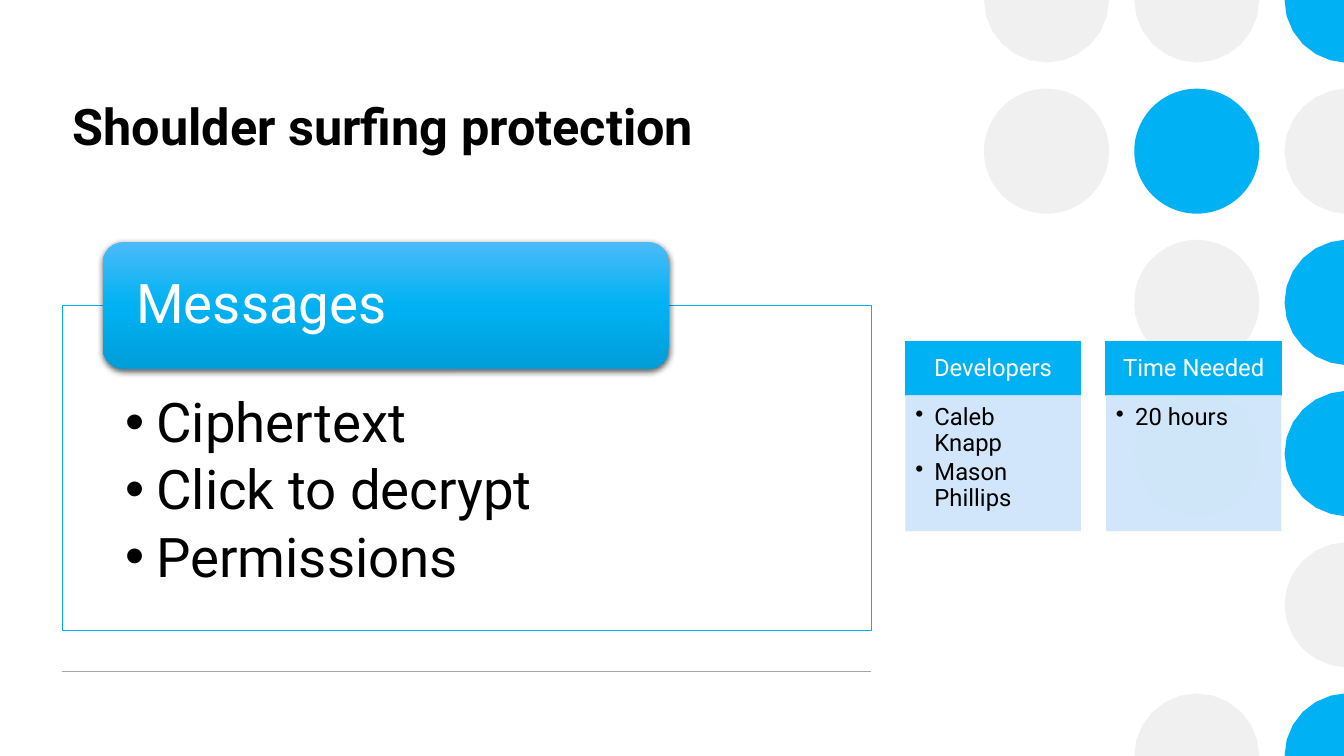
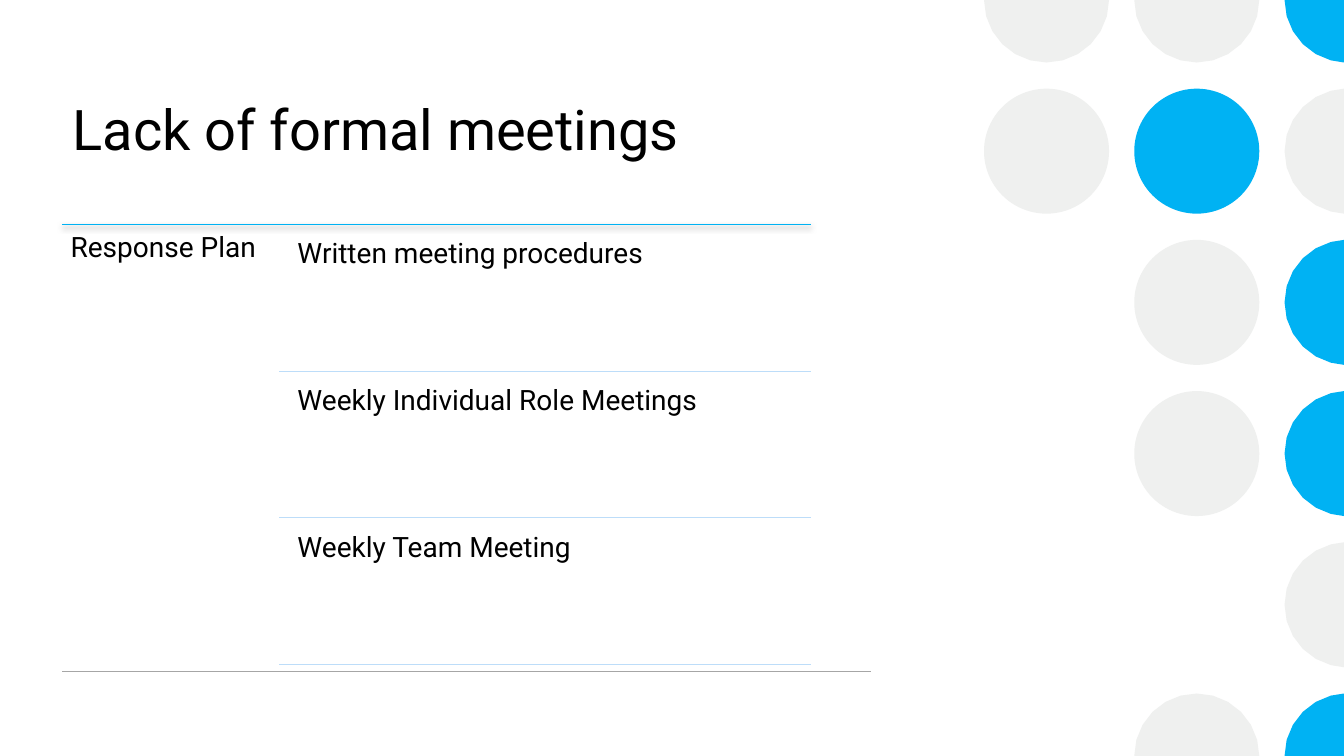
from copy import deepcopy
from dataclasses import dataclass
from math import cos, radians, sin

from lxml import etree
from pptx import Presentation
from pptx.dml.color import RGBColor
from pptx.enum import shapes as kinds, text as modes
from pptx.oxml import ns
from pptx.util import Inches, Pt


@dataclass(frozen=True)
class Theme:
    font: str = "Roboto"
    blue: str = "00B2F3"
    light: str = "4BBBF8"
    dark: str = "009ED8"
    pale: str = "CCE4FA"
    rule: str = "BDDDF9"
    gray: str = "EFF0EF"
    line: str = "A6A6A6"
    white: str = "FFFFFF"
    black: str = "000000"
    title: int = 40
    strong: int = 36
    large: int = 39
    plain: int = 20
    small: int = 17
    width: float = 13.33
    height: float = 7.5


T = Theme()
DOTS = ("ggb", "gbg", ".gb", ".gb", "..g", ".gb")
TOP, MID = modes.MSO_ANCHOR.TOP, modes.MSO_ANCHOR.MIDDLE
LEFT, MIDST = modes.PP_ALIGN.LEFT, modes.PP_ALIGN.CENTER


def rgb(tone):
    return RGBColor.from_string(tone)


def place(item, box):
    item.left, item.top, item.width, item.height = map(Inches, box)


def paint(item, tone, edge=None, width=1, alpha=100):
    item.fill.solid()
    item.fill.fore_color.rgb = rgb(tone)
    if alpha < 100:
        clr = next(item.element.iter(ns.qn("a:srgbClr")))
        etree.SubElement(clr, ns.qn("a:alpha"), val=str(alpha * 1000))
    if edge:
        item.line.color.rgb = rgb(edge)
        item.line.width = Pt(width)
    else:
        item.line.fill.background()


def shade(fx):
    drop = etree.SubElement(fx, ns.qn("a:outerShdw"), blurRad=str(Pt(4.5)),
                            dist=str(Pt(1.5)), dir="5400000", rotWithShape="0")
    clr = etree.SubElement(drop, ns.qn("a:srgbClr"), val=T.black)
    etree.SubElement(clr, ns.qn("a:alpha"), val="63000")


def shape(slide, kind, box):
    item = slide.shapes.add_shape(kind, *map(Inches, box))
    item.shadow.inherit = False
    return item


def rule(slide, x, y, width, tone, weight, shadow=False):
    item = slide.shapes.add_connector(
        kinds.MSO_CONNECTOR.STRAIGHT,
        *map(Inches, (x, y, x + width, y)))
    item.line.color.rgb = rgb(tone)
    item.line.width = Pt(weight)
    fx = etree.SubElement(item.element.spPr, ns.qn("a:effectLst"))
    if shadow:
        shade(fx)
    return item


def write(item, lines, size, tone=T.black, inset=(0.08,) * 4, anchor=TOP,
          align=LEFT, bold=False, hang=0, after=0, lead=0.9):
    frame = item.text_frame
    frame.word_wrap = True
    frame.auto_size = modes.MSO_AUTO_SIZE.NONE
    frame.vertical_anchor = anchor
    (frame.margin_left, frame.margin_top,
     frame.margin_right, frame.margin_bottom) = map(Inches, inset)
    frame.text = "\n".join(lines)
    for para in frame.paragraphs:
        para.alignment = align
        para.line_spacing = lead
        para.space_before, para.space_after = Pt(0), Pt(after)
        font = para.font
        font.name, font.size, font.bold = T.font, Pt(size), bold
        font.color.rgb = rgb(tone)
        props = para._p.get_or_add_pPr()
        props.set("marL", str(Inches(hang)))
        props.set("indent", str(-Inches(hang)))
        mark = etree.Element(ns.qn("a:buChar" if hang else "a:buNone"))
        if hang:
            mark.set("char", "•")
        props.find(ns.qn("a:defRPr")).addprevious(mark)


def dot(slide, x, y, radius, tone):
    if radius <= x <= T.width - radius and radius <= y <= T.height - radius:
        box = (x - radius, y - radius, 2 * radius, 2 * radius)
        item = shape(slide, kinds.MSO_SHAPE.OVAL, box)
    else:
        ring = []
        for turn in range(0, 360, 15):
            px = x + radius * cos(radians(turn))
            py = y + radius * sin(radians(turn))
            if turn % 90 == 0 or (0 < px < T.width and 0 < py < T.height):
                ring.append((Inches(min(max(px, 0), T.width)),
                             Inches(min(max(py, 0), T.height))))
        pen = slide.shapes.build_freeform(*ring[0])
        pen.add_line_segments(ring[1:], close=True)
        item = pen.convert_to_shape()
        item.shadow.inherit = False
    paint(item, tone)
    return item


def decor(slide, layout):
    tones = {"g": T.gray, "b": T.blue}
    items = [dot(slide, 10.38 + 1.49 * col, 1.5 * row, 0.62, tones[key])
             for row, keys in enumerate(DOTS)
             for col, key in enumerate(keys) if key in tones]
    items.append(rule(slide, 0.62, 6.66, 8.02, T.line, 1))
    for num, item in enumerate(items):
        next(item.element.iter(ns.qn("p:cNvPr"))).set("id", str(100 + num))
        layout.shapes.element.insert(2 + num, item.element)


def head(slide, words, size, bold=False):
    title = slide.shapes.title
    place(title, (0.62, 0.84, 8.02, 1.39))
    write(title, [words], size, inset=(0.1, 0.1, 0.1, 0.05), bold=bold, lead=1.0)


def panel(slide, box, label, lines):
    x, y, width, height = box
    body = slide.placeholders[1]
    place(body, box)
    paint(body, T.white, T.blue, 0.5, 90)
    write(body, lines, T.large, inset=(0.62, 0.89, 0.62, 0.3),
          hang=0.31, after=6)
    cap = shape(slide, kinds.MSO_SHAPE.ROUNDED_RECTANGLE,
                (x + 0.4, y - 0.63, width * 0.7, 1.26))
    cap.line.fill.background()
    cap.fill.gradient()
    cap.fill.gradient_angle = 270
    stops = next(cap.element.iter(ns.qn("a:gsLst")))
    stops.append(deepcopy(stops[0]))
    for stop, tone, pos in zip(cap.fill.gradient_stops,
                               (T.light, T.blue, T.dark), (0, 0.5, 1)):
        stop.color.rgb = rgb(tone)
        stop.position = pos
    shade(cap.element.spPr.find(ns.qn("a:effectLst")))
    write(cap, [label], T.large, T.white, (0.27, 0, 0.27, 0), MID)


def card(slide, box, label, lines):
    x, y, width, height = box
    bar = 0.53
    top = shape(slide, kinds.MSO_SHAPE.RECTANGLE, (x, y, width, bar))
    paint(top, T.blue, T.blue)
    write(top, [label], T.small, T.white, (0.13, 0.08, 0.13, 0.08), MID, MIDST)
    base = shape(slide, kinds.MSO_SHAPE.RECTANGLE,
                 (x, y + bar, width, height - bar))
    paint(base, T.pale, alpha=90)
    write(base, lines, T.small, inset=(0.1, 0.1, 0.13, 0.15),
          hang=0.19, after=2.5)


def plan(slide, box, label, lines):
    x, y, width, height = box
    side, lead = 2.15, 21
    step = (height - 0.07) / len(lines)
    rule(slide, x, y, width, T.blue, 0.5, True)
    note = slide.shapes.add_textbox(*map(Inches, (x, y, side, height)))
    write(note, [label], T.plain)
    body = slide.placeholders[1]
    place(body, (x + side + 0.1, y + 0.07, width - side - 0.1, height - 0.07))
    write(body, lines, T.plain, after=round(step * 72 - lead), lead=Pt(lead))
    for num in range(1, len(lines) + 1):
        rule(slide, x + side, y + step * num, width - side, T.rule, 0.5)


def main():
    deck = Presentation()
    deck.slide_width, deck.slide_height = Inches(T.width), Inches(T.height)
    layout = deck.slide_layouts[1]
    first, second = (deck.slides.add_slide(layout) for _ in range(2))
    decor(first, layout)

    head(first, "Shoulder surfing protection", T.strong, True)
    panel(first, (0.62, 3.03, 8.02, 3.22), "Messages",
          ["Ciphertext", "Click to decrypt", "Permissions"])
    cards = (("Developers", ["Caleb Knapp", "Mason Phillips"]),
             ("Time Needed", ["20 hours"]))
    for num, (label, lines) in enumerate(cards):
        card(first, (8.98 + 1.99 * num, 3.39, 1.74, 1.88), label, lines)

    head(second, "Lack of formal meetings", T.title)
    plan(second, (0.62, 2.23, 7.42, 4.43), "Response Plan",
         ["Written meeting procedures", "Weekly Individual Role Meetings",
          "Weekly Team Meeting"])
    deck.save("out.pptx")


if __name__ == "__main__":
    main()
